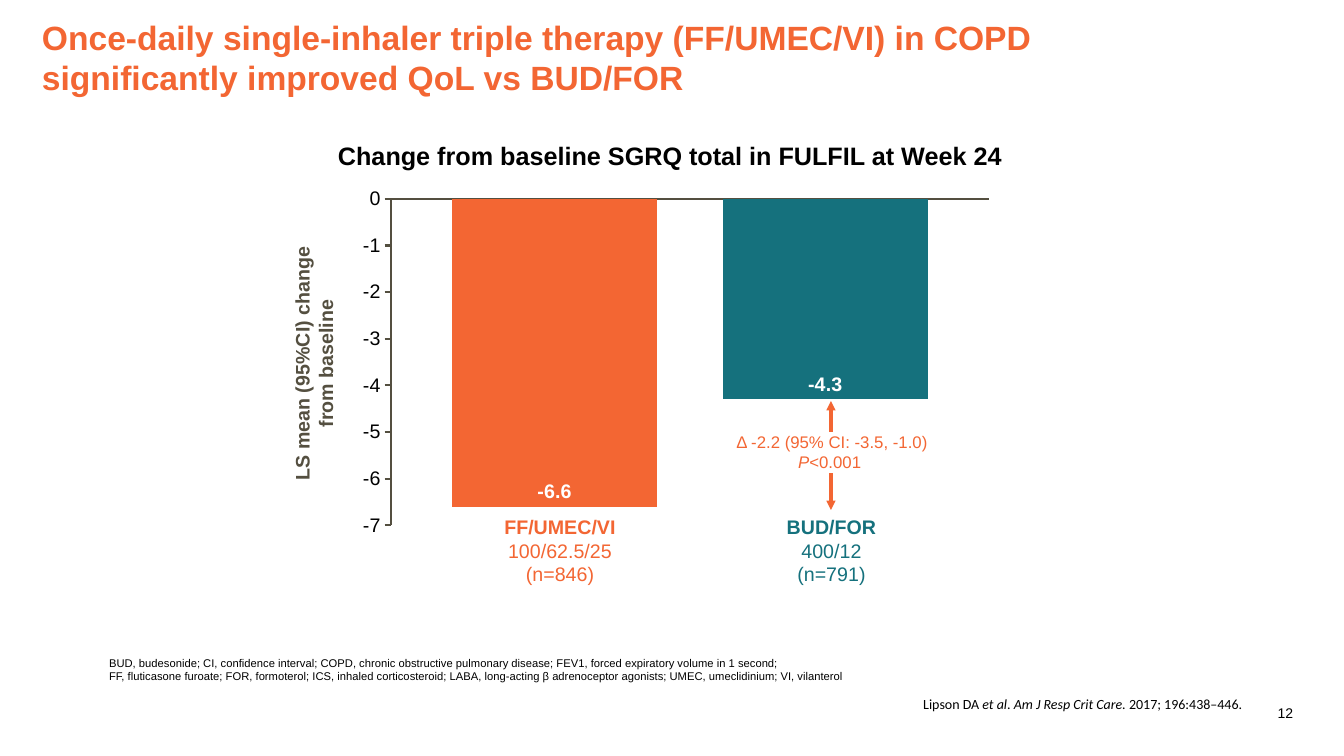
"""Build the slide on quality-of-life change with triple therapy in COPD."""
from lxml.etree import SubElement
from pptx import Presentation
from pptx.chart.data import CategoryChartData
from pptx.dml.color import RGBColor
from pptx.enum.chart import XL_CHART_TYPE, XL_LABEL_POSITION, XL_TICK_LABEL_POSITION, XL_TICK_MARK
from pptx.enum.shapes import MSO_CONNECTOR
from pptx.enum.text import PP_ALIGN
from pptx.oxml import parse_xml
from pptx.oxml.ns import nsdecls, qn
from pptx.util import Emu, Pt

PX = 914400 / 100.8
ORANGE, TEAL, BROWN, BLACK, WHITE = "F36633", "15717D", "544F40", "000000", "FFFFFF"
LEFT, CENTER, RIGHT = PP_ALIGN.LEFT, PP_ALIGN.CENTER, PP_ALIGN.RIGHT
rgb = RGBColor.from_string


def place(*lengths):
    return [Emu(round(length * PX)) for length in lengths]


def add_text(bounds, lines, size, color, align=LEFT, font="Arial"):
    box = slide.shapes.add_textbox(*place(*bounds))
    frame = box.text_frame
    frame.word_wrap = True
    frame.margin_left = frame.margin_top = frame.margin_right = frame.margin_bottom = 0
    for index, line in enumerate(lines):
        para = frame.add_paragraph() if index else frame.paragraphs[0]
        para.alignment = align
        for text, style in line:
            span = para.add_run()
            span.text = text
            span.font.name = font
            span.font.size = Pt(size)
            span.font.color.rgb = rgb(color)
            span.font.bold = style == "bold"
            span.font.italic = style == "italic"
    return box


deck = Presentation()
deck.slide_width, deck.slide_height = place(1344, 756)
slide = deck.slides.add_slide(deck.slide_layouts[6])

title = "Once-daily single-inhaler triple therapy (FF/UMEC/VI) in COPD significantly improved QoL vs BUD/FOR"
add_text((42, 17, 1034, 80), [[(title, "bold")]], 24, ORANGE)
add_text((338, 140, 886, 30), [[("Change from baseline SGRQ total in FULFIL at Week 24", "bold")]], 18, BLACK)

chart_data = CategoryChartData()
chart_data.categories = ["1"]
chart_data.add_series("Series 1", [-6.6])
chart_data.add_series("Series 2", [-4.3])
chart = slide.shapes.add_chart(XL_CHART_TYPE.COLUMN_CLUSTERED, *place(270, 171, 788, 422), chart_data).chart
chart.has_legend = chart.has_title = False
chart.font.name = "Arial"
chart.font.size = Pt(12)
chart.font.color.rgb = rgb(BLACK)

for axis in (chart.category_axis, chart.value_axis):
    axis.has_major_gridlines = False
    axis.format.line.color.rgb = rgb(BROWN)
    axis.format.line.width = Pt(1.5)
chart.category_axis.tick_label_position = XL_TICK_LABEL_POSITION.NONE
chart.category_axis.major_tick_mark = XL_TICK_MARK.NONE
value_axis = chart.value_axis
value_axis.minimum_scale, value_axis.maximum_scale, value_axis.major_unit = -7, 0, 1
value_axis.major_tick_mark = XL_TICK_MARK.OUTSIDE
value_axis.tick_labels.font.size = Pt(14)

plot = chart.plots[0]
plot.gap_width, plot.overlap, plot.vary_by_categories = 60, -32, False
for series, color in zip(plot.series, (ORANGE, TEAL)):
    series.invert_if_negative = False
    series.format.fill.solid()
    series.format.fill.fore_color.rgb = rgb(color)
    labels = series.data_labels
    labels.show_value = True
    labels.position = XL_LABEL_POSITION.INSIDE_END
    labels.font.size = Pt(14)
    labels.font.bold = True
    labels.font.color.rgb = rgb(WHITE)

plot_area = chart._chartSpace.chart.plotArea
for old_layout in plot_area.findall(qn("c:layout")):
    plot_area.remove(old_layout)
plot_area.insert(0, parse_xml(
    f'<c:layout {nsdecls("c")}><c:manualLayout><c:layoutTarget val="inner"/>'
    '<c:xMode val="edge"/><c:yMode val="edge"/><c:x val="0.153"/><c:y val="0.066"/>'
    '<c:w val="0.76"/><c:h val="0.774"/></c:manualLayout></c:layout>'))

treatments = [
    (447, 226, ORANGE, "FF/UMEC/VI", "100/62.5/25", "(n=846)"),
    (709, 245, TEAL, "BUD/FOR", "400/12", "(n=791)"),
]
for left, width, color, name, dose, count in treatments:
    add_text((left, 515, width, 72), [[(name, "bold")], [(dose, "")], [(count, "")]], 14, color, CENTER)

axis_title = add_text((165, 340, 297, 47), [[("LS mean (95%CI) change", "bold")], [("from baseline", "bold")]],
                      14, BROWN, CENTER)
axis_title.rotation = 270

arrow = slide.shapes.add_connector(MSO_CONNECTOR.STRAIGHT, *place(831, 401, 831, 510))
arrow.line.color.rgb = rgb(ORANGE)
arrow.line.width = Pt(2.25)
for end in ("a:headEnd", "a:tailEnd"):
    SubElement(arrow.line._get_or_add_ln(), qn(end), type="triangle")
SubElement(arrow._element.spPr, qn("a:effectLst"))

difference = add_text((728, 432, 208, 41), [[("Δ -2.2 (95% CI: -3.5, -1.0)", "")], [("P", "italic"), ("<0.001 ", "")]],
                      12, ORANGE, CENTER)
difference.fill.solid()
difference.fill.fore_color.rgb = rgb(WHITE)

abbreviations = [
    "BUD, budesonide; CI, confidence interval; COPD, chronic obstructive pulmonary disease; "
    "FEV1, forced expiratory volume in 1 second;",
    "FF, fluticasone furoate; FOR, formoterol; ICS, inhaled corticosteroid; "
    "LABA, long-acting β adrenoceptor agonists; UMEC, umeclidinium; VI, vilanterol",
]
add_text((109, 656, 1127, 27), [[(line, "")] for line in abbreviations], 8, BLACK)

reference = [("Lipson DA ", ""), ("et al", "italic"), (". ", ""), ("Am J Resp Crit Care. ", "italic"),
             ("2017; 196:438–446.", "")]
citation = add_text((381, 698, 861, 15), [reference], 10, BLACK, RIGHT, "Calibri")
citation.text_frame.paragraphs[0].line_spacing = 0.85
add_text((1254, 705, 39, 20), [[("12", "")]], 10, BLACK, RIGHT)

deck.save("out.pptx")
